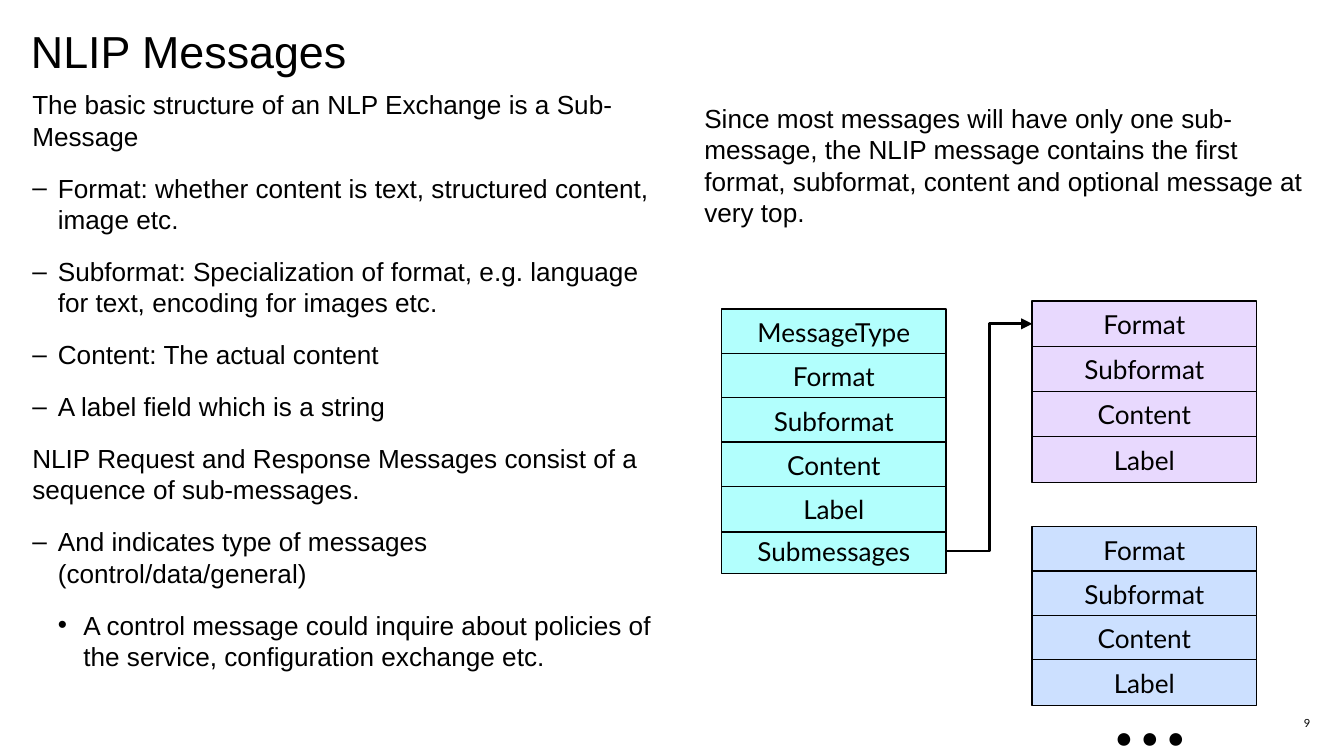
from dataclasses import dataclass

from lxml import etree
from pptx import Presentation
from pptx.dml.color import RGBColor
from pptx.enum.shapes import MSO_CONNECTOR, MSO_SHAPE
from pptx.enum.text import MSO_ANCHOR, MSO_AUTO_SIZE, PP_ALIGN
from pptx.oxml.ns import qn
from pptx.util import Inches, Pt

RECT = MSO_SHAPE.RECTANGLE
ELBOW = MSO_CONNECTOR.ELBOW
LEFT, CENTER, RIGHT = PP_ALIGN.LEFT, PP_ALIGN.CENTER, PP_ALIGN.RIGHT
TOP, MIDDLE = MSO_ANCHOR.TOP, MSO_ANCHOR.MIDDLE
FIXED = MSO_AUTO_SIZE.NONE
LEFT_SITE, RIGHT_SITE = 1, 3


@dataclass
class Theme:
    ink: str = "000000"
    cyan: str = "B2FFFD"
    violet: str = "E8D9FE"
    blue: str = "CCE0FF"
    sans: str = "Arial"
    label: str = "Lato"
    title: int = 24
    text: int = 14
    dots: int = 54
    number: int = 6


FIELDS = ["Format", "Subformat", "Content", "Label"]
BODY = [
    (0, "The basic structure of an NLP Exchange is a Sub-Message"),
    (1, "Format: whether content is text, structured content, image etc."),
    (1, "Subformat: Specialization of format, e.g. language for text, "
        "encoding for images etc."),
    (1, "Content: The actual content"),
    (1, "A label field which is a string"),
    (0, "NLIP Request and Response Messages consist of a sequence of "
        "sub-messages."),
    (1, "And indicates type of messages (control/data/general)"),
    (2, "A control message could inquire about policies of the service, "
        "configuration exchange etc."),
]
ASIDE = [(0, "Since most messages will have only one sub-message, the NLIP "
             "message contains the first format, subformat, content and "
             "optional message at very top.")]


def assign(item, values):
    for name, value in values.items():
        setattr(item, name, value)


def place(shape, box):
    names = ("left", "top", "width", "height")
    assign(shape, dict(zip(names, map(Inches, box))))


class Deck:
    bullets = {1: "–", 2: "•"}
    step = 0.19
    cell = (1.67, 0.34)

    def __init__(self, slide, theme):
        self.slide = slide
        self.theme = theme

    def font(self, para, face, size):
        assign(para.font, {"name": face, "size": Pt(size), "bold": False})
        para.font.color.rgb = RGBColor.from_string(self.theme.ink)

    def frame(self, shape, anchor):
        """Make a text frame without margins that wraps and keeps its size."""
        sides = ("left", "top", "right", "bottom")
        values = {f"margin_{side}": 0 for side in sides}
        values.update(word_wrap=True, auto_size=FIXED, vertical_anchor=anchor)
        assign(shape.text_frame, values)
        return shape.text_frame

    def title(self, text, box):
        shape = self.slide.shapes.title
        place(shape, box)
        para = self.frame(shape, TOP).paragraphs[0]
        assign(para, {"text": text, "alignment": LEFT, "line_spacing": 0.9})
        self.font(para, self.theme.sans, self.theme.title)

    def list(self, index, items, box):
        shape = self.slide.placeholders[index]
        place(shape, box)
        frame = self.frame(shape, TOP)
        for count, (level, text) in enumerate(items):
            para = frame.add_paragraph() if count else frame.paragraphs[0]
            assign(para, {"text": text, "level": level, "alignment": LEFT,
                          "line_spacing": 1.0, "space_before": Pt(11)})
            self.font(para, self.theme.sans, self.theme.text)
            self.bullet(para, level)

    def bullet(self, para, level):
        props = para._p.get_or_add_pPr()
        props.set("marL", str(Inches(self.step * level)))
        props.set("indent", str(-Inches(self.step) if level else 0))
        if level:
            face = etree.SubElement(props, qn("a:buFont"))
            face.set("typeface", self.theme.sans)
            mark = etree.SubElement(props, qn("a:buChar"))
            mark.set("char", self.bullets[level])
        else:
            etree.SubElement(props, qn("a:buNone"))

    def note(self, text, box, size, align=LEFT, tight=False):
        shape = self.slide.shapes.add_textbox(*map(Inches, box))
        frame = self.frame(shape, MIDDLE) if tight else shape.text_frame
        frame.word_wrap = True
        para = frame.paragraphs[0]
        assign(para, {"text": text, "alignment": align})
        self.font(para, self.theme.label, size)

    def box(self, text, left, top, fill):
        shape = self.slide.shapes.add_shape(
            RECT, *map(Inches, (left, top, *self.cell)))
        shape.shadow.inherit = False
        shape.fill.solid()
        shape.fill.fore_color.rgb = RGBColor.from_string(fill)
        shape.line.color.rgb = RGBColor.from_string(self.theme.ink)
        shape.line.width = Pt(0.75)
        assign(shape.text_frame, {"word_wrap": True, "vertical_anchor": MIDDLE})
        para = shape.text_frame.paragraphs[0]
        assign(para, {"text": text, "alignment": CENTER})
        self.font(para, self.theme.label, self.theme.text)
        return shape

    def stack(self, names, left, first, last, fill):
        """Spread boxes evenly from the first top to the last top."""
        pitch = (last - first) / (len(names) - 1)
        return [self.box(name, left, first + row * pitch, fill)
                for row, name in enumerate(names)]

    def arrow(self, start, end):
        line = self.slide.shapes.add_connector(ELBOW, 0, 0, 0, 0)
        line.begin_connect(start, RIGHT_SITE)
        line.end_connect(end, LEFT_SITE)
        line.line.color.rgb = RGBColor.from_string(self.theme.ink)
        line.line.width = Pt(1.5)
        tip = etree.SubElement(line.line._get_or_add_ln(), qn("a:tailEnd"))
        tip.set("type", "triangle")
        etree.SubElement(line._element.spPr, qn("a:effectLst"))


def main():
    show = Presentation()
    wide = Inches(10)
    assign(show, {"slide_width": wide, "slide_height": wide * 9 // 16})
    theme = Theme()
    deck = Deck(show.slides.add_slide(show.slide_layouts[3]), theme)

    deck.title("NLIP Messages", (0.23, 0.22, 4.53, 0.88))
    deck.list(1, BODY, (0.24, 0.66, 4.72, 4.96))
    deck.list(2, ASIDE, (5.24, 0.76, 4.52, 0.99))
    deck.note("9", (7.75, 5.29, 2, 0.18), theme.number, RIGHT, tight=True)

    deck.stack(FIELDS, 7.68, 3.92, 4.91, theme.blue)
    parts = deck.box("Submessages", 5.37, 3.93, theme.cyan)
    deck.stack(["MessageType", *FIELDS], 5.37, 2.3, 3.62, theme.cyan)
    first = deck.stack(FIELDS, 7.68, 2.24, 3.25, theme.violet)
    deck.arrow(parts, first[0])
    deck.note("…", (8.18, 4.75, 0.89, 1.01), theme.dots)

    show.save("out.pptx")


if __name__ == "__main__":
    main()
